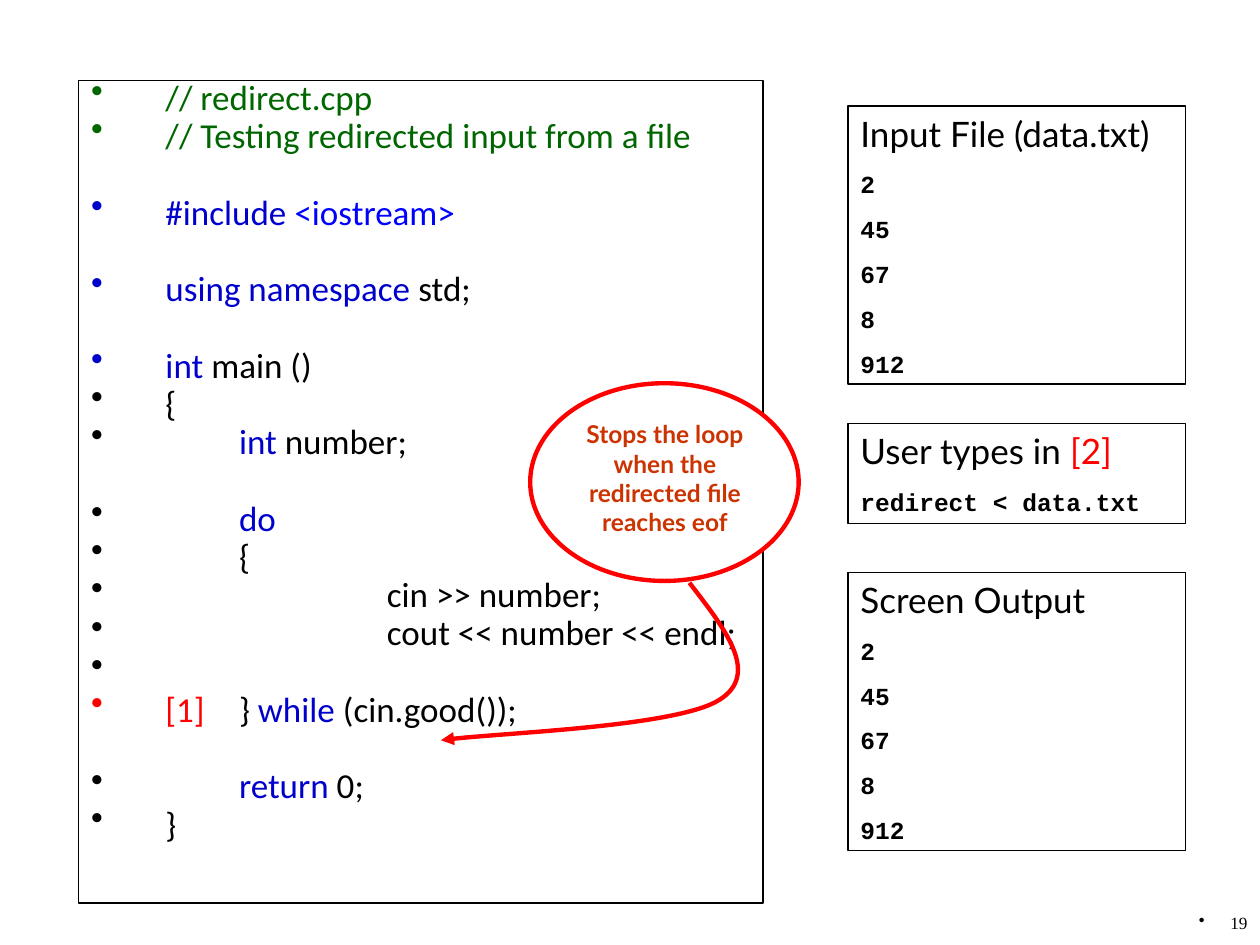
from lxml import etree
from pptx import Presentation
from pptx.dml.color import RGBColor
from pptx.enum.shapes import MSO_SHAPE as Shape
from pptx.enum.text import MSO_ANCHOR as Anchor, MSO_AUTO_SIZE as AutoSize, PP_ALIGN as Align
from pptx.oxml.ns import qn
from pptx.util import Pt

BLACK, WHITE, RED = "000000", "FFFFFF", "FF0000"
GREEN, BLUE, BRIGHT_BLUE, RUST = "006600", "0000CC", "0000FF", "CC3300"
NUMBERS = ["2", "45", "67", "8", "912"]

# Each group of code lines is set apart by one empty line's height
CODE_GROUPS = [
    [[("// redirect.cpp", GREEN)],
     [("// Testing redirected input from a file", GREEN)]],
    [[("#include ", BLUE), ("<iostream>", BRIGHT_BLUE)]],
    [[("using namespace", BLUE), (" std;", BLACK)]],
    [[("int", BLUE), (" main ()", BLACK)],
     [("{", BLACK)],
     [("\t", BLACK), ("int", BLUE), (" number;", BLACK)]],
    [[("\t", BLACK), ("do", BLUE)],
     [("\t{", BLACK)],
     [("\t\tcin >> number;", BLACK)],
     [("\t\tcout << number << endl;", BLACK)],
     [("\t\t", BLACK)],
     [("[1]\t", RED), ("} ", BLACK), ("while", BLUE), (" (cin.good());", BLACK)]],
    [[("\t", BLACK), ("return", BLUE), (" 0;", BLACK)],
     [("}", BLACK)]],
]


def color(hex_string):
    return RGBColor.from_string(hex_string)


def add_outlined(page, kind, box, line, width, fill=None):
    shape = page.shapes.add_shape(kind, *map(Pt, box))
    shape.shadow.inherit = False
    if fill:
        shape.fill.solid()
        shape.fill.fore_color.rgb = color(fill)
    else:
        shape.fill.background()
    shape.line.color.rgb = color(line)
    shape.line.width = Pt(width)
    return shape


def prepare_frame(shape, grow=False):
    frame = shape.text_frame
    frame.word_wrap = True
    frame.vertical_anchor = Anchor.TOP
    frame.auto_size = AutoSize.SHAPE_TO_FIT_TEXT if grow else AutoSize.NONE
    return frame


def add_para(frame, spans, name, size, before, align=Align.LEFT, bold=False):
    first = frame.paragraphs[0]
    para = frame.add_paragraph() if first.runs else first
    para.alignment = align
    para.space_before = Pt(before)
    para.font.name, para.font.size, para.font.bold = name, Pt(size), bold
    for text, ink in spans:
        span = para.add_run()
        span.text = text
        span.font.color.rgb = color(ink)
    return para


def set_bullet(para, ink, indent, tabs=()):
    props = para._p.get_or_add_pPr()
    props.set("marL", str(Pt(indent)))
    props.set("indent", str(-Pt(indent)))
    bullet_color = etree.Element(qn("a:buClr"))
    etree.SubElement(bullet_color, qn("a:srgbClr"), val=ink)
    parts = [bullet_color, etree.Element(qn("a:buChar"), char="•")]
    if tabs:
        tab_list = etree.Element(qn("a:tabLst"))
        for stop in tabs:
            etree.SubElement(tab_list, qn("a:tab"), pos=str(Pt(stop)), algn="l")
        parts.append(tab_list)
    # The default run properties must stay last
    for part in parts:
        props.find(qn("a:defRPr")).addprevious(part)


def add_code(page, box):
    frame = prepare_frame(add_outlined(page, Shape.RECTANGLE, box, BLACK, 0.75))
    tabs = [84.5 * step for step in range(1, 9)]
    for group_index, group in enumerate(CODE_GROUPS):
        for line_index, spans in enumerate(group):
            before = 27 if group_index and not line_index else 5
            para = add_para(frame, spans, "Calibri", 20, before)
            para.line_spacing = 0.7
            set_bullet(para, spans[0][1], 42.5, tabs)


def add_panel(page, box, title, lines):
    frame = prepare_frame(add_outlined(page, Shape.RECTANGLE, box, BLACK, 0.75), grow=True)
    add_para(frame, title, "Lato", 20, 12.5)
    for line in lines:
        add_para(frame, [(line, BLACK)], "Courier New", 14, 8.8, bold=True)


def add_callout(page, box):
    left, top, width, height = box
    add_outlined(page, Shape.OVAL, box, RED, 2.5, WHITE)

    # Curved arrow: a start point, then two cubic segments of three points
    points = [(91, 114), (111, 140), (132, 166), (108, 181), (84, 196), (-24, 200), (-51, 204)]
    start, *rest = [(Pt(left + x), Pt(top + y)) for x, y in points]
    builder = page.shapes.build_freeform(*start)
    builder.add_line_segments(rest, close=False)
    arrow = builder.convert_to_shape()
    arrow.shadow.inherit = False
    arrow.fill.background()
    arrow.line.color.rgb = color(RED)
    arrow.line.width = Pt(2.5)
    etree.SubElement(arrow.line._get_or_add_ln(), qn("a:tailEnd"), type="triangle")
    segments = list(arrow._element.iter(qn("a:lnTo")))
    for index in range(0, len(segments), 3):
        curve = etree.Element(qn("a:cubicBezTo"))
        segments[index].addprevious(curve)
        for segment in segments[index:index + 3]:
            curve.append(segment[0])
            segment.getparent().remove(segment)

    # Callout wording
    text_box = page.shapes.add_textbox(Pt(left + 23), Pt(top + 17), Pt(108), Pt(108))
    add_para(prepare_frame(text_box, grow=True),
             [("Stops the loop when the redirected file reaches eof", RUST)],
             "Lato", 14, 8.8, Align.CENTER, bold=True)


def add_page_number(page, box):
    frame = prepare_frame(page.shapes.add_textbox(*map(Pt, box)))
    para = add_para(frame, [("19", BLACK)], "Times New Roman", 9.8, 3.5, Align.RIGHT)
    para.line_spacing = 0.8
    set_bullet(para, BLACK, 18)


def main():
    deck = Presentation()
    deck.slide_width, deck.slide_height = Pt(720), Pt(540)
    page = deck.slides.add_slide(deck.slide_layouts[6])
    add_code(page, (45, 46, 391, 470))
    add_page_number(page, (656.6, 520, 63.4, 20))
    panels = [
        (60.5, 159, [("Input File (data.txt)", BLACK)], NUMBERS),
        (242, 57, [("User types in ", BLACK), ("[2]", RED)], ["redirect < data.txt"]),
        (327, 159, [("Screen Output", BLACK)], NUMBERS),
    ]
    for top, height, title, lines in panels:
        add_panel(page, (484.6, top, 193, height), title, lines)
    add_callout(page, (303, 219, 153.4, 113))
    deck.save("out.pptx")


if __name__ == "__main__":
    main()
